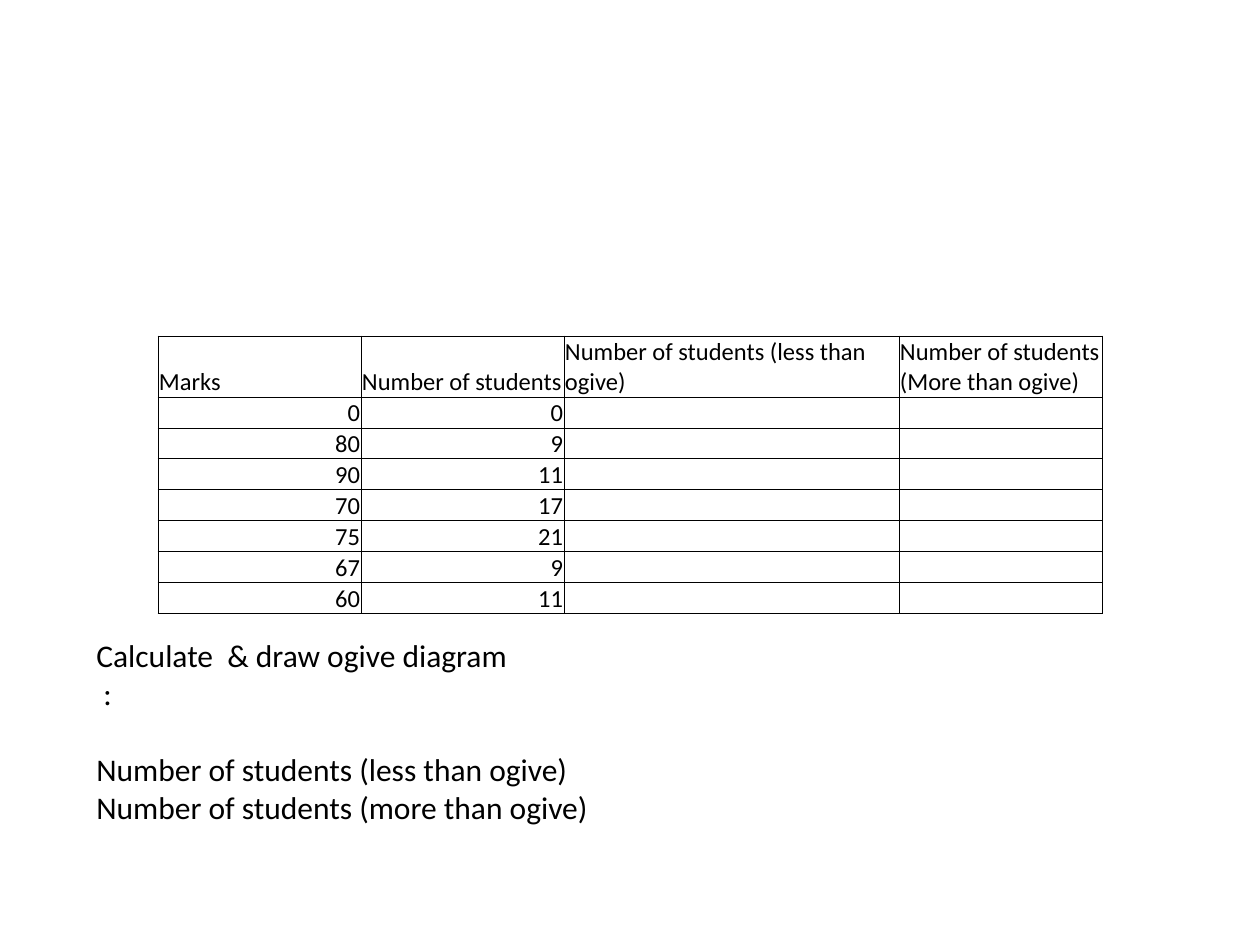
from lxml import etree
from pptx import Presentation, util as u
from pptx.dml.color import RGBColor
from pptx.enum import text
from pptx.oxml.ns import qn

PX = 914400 // 126
COLORS = {"ink": "000000"}
FACE = "Calibri"
HEADS = ["Marks", "Number of students",
         "Number of students (less than ogive)",
         "Number of students (More than ogive)"]
MARKS = [(0, 0), (80, 9), (90, 11), (70, 17), (75, 21), (67, 9), (60, 11)]
COLS = [203, 203, 335, 203]
HEAD, ROW = 61, 31
TASKS = ["Calculate  & draw ogive diagram", " :",
         "Number of students (less than ogive)",
         "Number of students (more than ogive)"]


def px(n):
    return u.Emu(n * PX)


def style(para, size):
    font = para.font
    font.name, font.size, font.bold = FACE, u.Pt(size), False
    font.color.rgb = RGBColor.from_string(COLORS["ink"])


def border(cell):
    props = cell._tc.get_or_add_tcPr()
    for spot, side in enumerate(("lnL", "lnR", "lnT", "lnB")):
        line = etree.Element(qn("a:" + side), w=str(u.Pt(0.5)))
        fill = etree.SubElement(line, qn("a:solidFill"))
        etree.SubElement(fill, qn("a:srgbClr"), val=COLORS["ink"])
        props.insert(spot, line)


def fill_cell(cell, words, align):
    cell.margin_left = cell.margin_right = cell.margin_top = px(1)
    cell.margin_bottom = 0
    cell.vertical_anchor = text.MSO_ANCHOR.BOTTOM
    cell.fill.background()
    border(cell)
    para = cell.text_frame.paragraphs[0]
    para.text = words
    para.alignment = align
    style(para, 14)
    if not words:
        etree.SubElement(para._p, qn("a:endParaRPr"), sz="1400")


def add_grid(slide, left, top):
    rows = [HEADS] + [[str(mark), str(count), "", ""] for mark, count in MARKS]
    high = HEAD + ROW * len(MARKS)
    table = slide.shapes.add_table(len(rows), len(COLS), px(left), px(top),
                                   px(sum(COLS)), px(high)).table
    table.first_row = table.horz_banding = False
    for col, wide in zip(table.columns, COLS):
        col.width = px(wide)
    for r, row in enumerate(rows):
        table.rows[r].height = px(ROW if r else HEAD)
        align = text.PP_ALIGN.RIGHT if r else text.PP_ALIGN.LEFT
        for c, words in enumerate(row):
            fill_cell(table.cell(r, c), words, align)


def add_tasks(slide, left, top, wide, high):
    frame = slide.shapes.add_textbox(px(left), px(top), px(wide), px(high)).text_frame
    frame.word_wrap = False
    frame.auto_size = text.MSO_AUTO_SIZE.SHAPE_TO_FIT_TEXT
    for i, words in enumerate(TASKS):
        para = frame.add_paragraph() if i else frame.paragraphs[0]
        para.text = words
        style(para, 18)
    frame.paragraphs[2].space_before = u.Pt(22)


def main():
    deck = Presentation()
    deck.slide_width, deck.slide_height = u.Inches(10), u.Inches(7.5)
    slide = deck.slides.add_slide(deck.slide_layouts[6])
    add_grid(slide, 158, 336)
    add_tasks(slide, 84, 630, 523, 280)
    deck.save("out.pptx")


if __name__ == "__main__":
    main()
